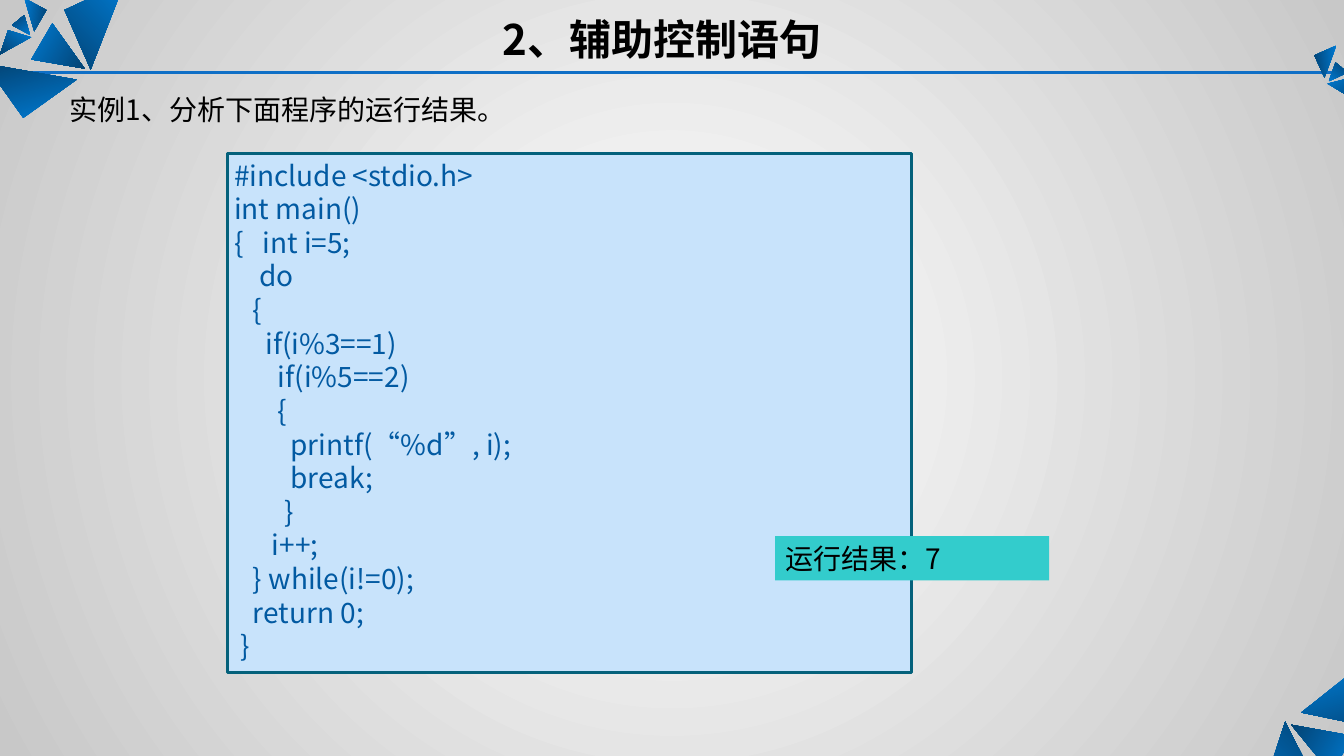
from pptx import Presentation
from pptx.dml.color import RGBColor
from pptx.enum.shapes import MSO_CONNECTOR, MSO_SHAPE
from pptx.enum.text import MSO_ANCHOR, PP_ALIGN
from pptx.oxml import parse_xml
from pptx.oxml.ns import nsdecls, qn
from pptx.util import Pt
from lxml import etree

STRAIGHT = MSO_CONNECTOR.STRAIGHT
RECTANGLE = MSO_SHAPE.RECTANGLE
TOP, MIDDLE = MSO_ANCHOR.TOP, MSO_ANCHOR.MIDDLE
LEFT, CENTER = PP_ALIGN.LEFT, PP_ALIGN.CENTER

THEME = {
    "backdrop": ("FFFFFF", "C8C8C8"),
    "shard": ("007BD3", "034373"),
    "rule": RGBColor.from_string("0F6FC6"),
    "panel": RGBColor.from_string("C8E3FB"),
    "panel_edge": RGBColor.from_string("04617B"),
    "result": RGBColor.from_string("33CCCC"),
    "ink": RGBColor.from_string("000000"),
    "code": RGBColor.from_string("025AA2"),
    "cjk": "Noto Sans CJK SC",
    "latin": "Arial",
    "title_size": Pt(30),
    "body_size": Pt(20),
    "line_width": Pt(2.25),
}


def fill_gradient(fill, colors):
    fill.gradient()
    for stop, color in zip(fill.gradient_stops, colors):
        stop.color.rgb = RGBColor.from_string(color)


def write(shape, lines, font, frame=None, paragraph_format=None):
    """Fill a shape with lines, each a list of (text, font name) runs."""
    text_frame = shape.text_frame
    frame_format = {"word_wrap": True, "vertical_anchor": TOP, **(frame or {})}
    for attribute, value in frame_format.items():
        setattr(text_frame, attribute, value)
    for index, line in enumerate(lines):
        paragraph = text_frame.add_paragraph() if index else text_frame.paragraphs[0]
        for attribute, value in {"alignment": LEFT, **(paragraph_format or {})}.items():
            setattr(paragraph, attribute, value)
        for text, typeface in line:
            run = paragraph.add_run()
            run.text = text
            run.font.name = typeface
            run.font.color.rgb = font["color"]
            for attribute in ("size", "bold"):
                setattr(run.font, attribute, font.get(attribute))
            east_asian = etree.SubElement(run.font._element, qn("a:ea"))
            east_asian.set("typeface", typeface)


prs = Presentation()
prs.slide_width, prs.slide_height = Pt(960), Pt(540)
slide = prs.slides.add_slide(prs.slide_layouts[6])
shapes = slide.shapes

# Backdrop shading from the centre outwards
fill_gradient(slide.background.fill, THEME["backdrop"])
linear = slide._element.find(".//" + qn("a:lin"))
linear.getparent().replace(linear, parse_xml(
    f'<a:path {nsdecls("a")} path="circle">'
    '<a:fillToRect l="50000" t="50000" r="50000" b="50000"/></a:path>'))

# Line under the title
title_rule = shapes.add_connector(STRAIGHT, Pt(2), Pt(52), Pt(963), Pt(52))
title_rule.line.color.rgb = THEME["rule"]
title_rule.line.width = THEME["line_width"]
etree.SubElement(title_rule._element.spPr, qn("a:effectLst"))

# Corner shards: turn of the shading, then three corners
shards = [
    (224.2, [(895.7, 583.9), (918, 515.5), (942.5, 563.8)]),
    (119.1, [(966.2, 525.6), (922.3, 517.7), (951.1, 553)]),
    (343.5, [(968.4, 478.1), (929.5, 509), (999.4, 523.4)]),
    (45.5, [(89.3, -13), (64.8, 49.7), (46.1, 7.2)]),
    (300.5, [(22.3, 42.5), (60.5, 49), (37.4, 16.6)]),
    (164.9, [(16.6, 84.2), (54.7, 56.9), (-10.8, 45.4)]),
    (38, [(0, 38.9), (22.3, 26.6), (5.8, 21.6)]),
    (143.1, [(17.3, 10.8), (21.6, 25.2), (8.6, 18)]),
    (278.7, [(33.1, 7.2), (24.5, 22.3), (17.3, -1.4)]),
    (325, [(969.8, 72.7), (948.2, 59.8), (965.5, 55.4)]),
    (219.9, [(954, 44.6), (949, 58.3), (962.6, 51.8)]),
    (84.3, [(938.9, 39.6), (946.1, 55.4), (954.7, 32.4)]),
]
for turn, corners in shards:
    start, *others = [(Pt(x), Pt(y)) for x, y in corners]
    outline = shapes.build_freeform(*start)
    outline.add_line_segments(others, close=True)
    shard = outline.convert_to_shape()
    shard.shadow.inherit = False
    fill_gradient(shard.fill, THEME["shard"])
    shard.fill.gradient_angle = (270 - turn) % 360
    shard.line.fill.background()

title = shapes.add_textbox(Pt(60.5), Pt(6.5), Pt(824.4), Pt(43.2))
write(title, [[("2、辅助控制语句", THEME["cjk"])]],
      {"size": THEME["title_size"], "color": THEME["ink"], "bold": True},
      paragraph_format={"alignment": CENTER, "line_spacing": Pt(36)})

code_panel = shapes.add_shape(RECTANGLE, Pt(162.7), Pt(109.4), Pt(488.2), Pt(370.8))
code_panel.shadow.inherit = False
code_panel.fill.solid()
code_panel.fill.fore_color.rgb = THEME["panel"]
code_panel.line.color.rgb = THEME["panel_edge"]
code_panel.line.width = THEME["line_width"]
program = """\
 #include <stdio.h>
 int main()
 {   int i=5;
     do
    {
      if(i%3==1)
        if(i%5==2)
        {
          printf(“%d”, i);
          break;
         }
       i++;
    } while(i!=0);
    return 0;
  }"""
write(code_panel, [[(line, THEME["cjk"])] for line in program.splitlines()],
      {"size": THEME["body_size"], "color": THEME["code"]},
      {"margin_left": Pt(0)}, {"line_spacing": Pt(24)})

task = shapes.add_textbox(Pt(42.5), Pt(65.5), Pt(874.8), Pt(28.8))
write(task, [[("实例", THEME["latin"]), ("1、分析下面程序的运行结果", THEME["cjk"]),
              ("。", THEME["latin"])]],
      {"size": THEME["body_size"], "color": THEME["ink"]},
      {"vertical_anchor": MIDDLE}, {"line_spacing": 0.9})

result = shapes.add_shape(RECTANGLE, Pt(553.7), Pt(383), Pt(195.8), Pt(31.7))
result.shadow.inherit = False
result.fill.solid()
result.fill.fore_color.rgb = THEME["result"]
result.line.fill.background()
write(result, [[("运行结果：7", THEME["cjk"])]],
      {"size": THEME["body_size"], "color": THEME["ink"]},
      paragraph_format={"line_spacing": Pt(24)})

prs.save("out.pptx")
